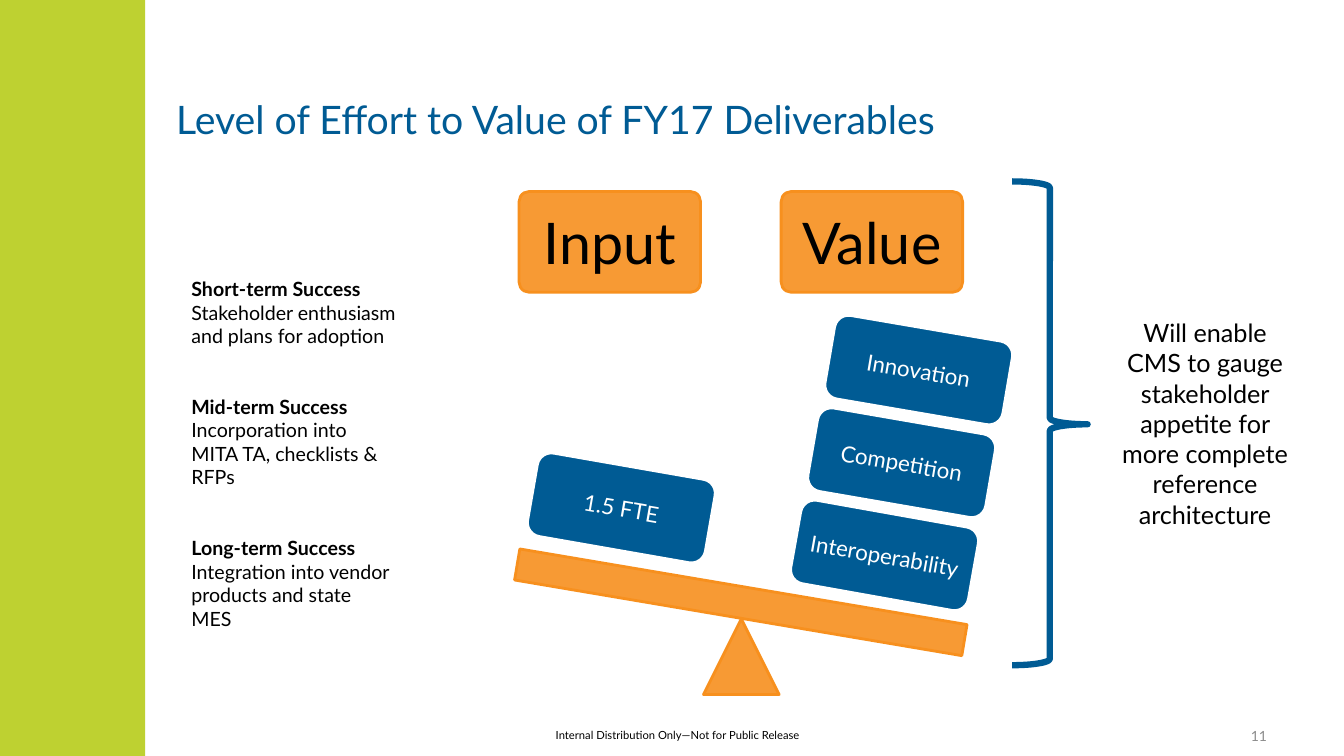
from lxml import etree
from pptx import Presentation
from pptx.dml.color import RGBColor
from pptx.enum.shapes import MSO_SHAPE
from pptx.enum.text import MSO_ANCHOR, PP_ALIGN
from pptx.oxml.ns import qn
from pptx.util import Pt

LEFT, CENTER, RIGHT = PP_ALIGN.LEFT, PP_ALIGN.CENTER, PP_ALIGN.RIGHT
TOP, MIDDLE = MSO_ANCHOR.TOP, MSO_ANCHOR.MIDDLE
RECTANGLE, ROUNDED = MSO_SHAPE.RECTANGLE, MSO_SHAPE.ROUNDED_RECTANGLE
TRIANGLE, BRACE = MSO_SHAPE.ISOSCELES_TRIANGLE, MSO_SHAPE.RIGHT_BRACE

FONT = "Lato"
COLORS = {
    "lime": "BED131",
    "blue": "005B94",
    "orange": "F7901E",
    "white": "FFFFFF",
    "black": "000000",
    "gray": "8C8C8C",
}

deck = Presentation()
deck.slide_width, deck.slide_height = Pt(960), Pt(540)
page = deck.slides.add_slide(deck.slide_layouts[6])


def add_block(kind, left, top, width, height, fill=None, line=None, weight=2, opacity=100):
    """Add a preset shape; a missing fill or line colour means none."""
    block = page.shapes.add_shape(kind, Pt(left), Pt(top), Pt(width), Pt(height))
    block.shadow.inherit = False
    if fill:
        block.fill.solid()
        block.fill.fore_color.rgb = RGBColor.from_string(COLORS[fill])
    else:
        block.fill.background()
    if opacity < 100:
        color = block.fill._xPr.find(qn("a:solidFill"))[0]
        etree.SubElement(color, qn("a:alpha")).set("val", str(opacity * 1000))
    if line:
        block.line.color.rgb = RGBColor.from_string(COLORS[line])
        block.line.width = Pt(weight)
    else:
        block.line.fill.background()
    return block


def write(box, text, size, color, align=LEFT, anchor=TOP, inset=None):
    """Fill a box with one paragraph; inset applies to all four sides."""
    frame = box.text_frame
    frame.word_wrap = True
    frame.vertical_anchor = anchor
    if inset is not None:
        frame.margin_left = frame.margin_right = Pt(inset)
        frame.margin_top = frame.margin_bottom = Pt(inset)
        frame.paragraphs[0].line_spacing = 0.9
    frame.text = text
    paragraph = frame.paragraphs[0]
    paragraph.alignment = align
    for span in paragraph.runs:
        span.font.name = FONT
        span.font.size = Pt(size)
        span.font.color.rgb = RGBColor.from_string(COLORS[color])


# Side band and plain texts
add_block(RECTANGLE, 0, 0, 103.7, 540, "lime")
labels = [
    ("Level of Effort to Value of FY17 Deliverables",
     118.8, 56.9, 784, 56.2, 28, "blue", LEFT, MIDDLE),
    ("Internal Distribution Only—Not for Public Release",
     337.7, 517, 293, 17.3, 8, "black", CENTER, TOP),
    ("11", 720, 511.2, 192.2, 28.8, 10, "gray", RIGHT, MIDDLE),
    ("Will enable CMS to gauge stakeholder appetite for more complete reference architecture",
     791.3, 223.2, 139, 160, 18, "black", CENTER, TOP),
]
for text, left, top, width, height, size, color, align, anchor in labels:
    box = page.shapes.add_textbox(Pt(left), Pt(top), Pt(width), Pt(height))
    write(box, text, size, color, align, anchor)

# Column headings
for index, heading in enumerate(["Input", "Value"]):
    block = add_block(ROUNDED, 370.8 + index * 187.2, 136.8, 129.6, 72,
                      "orange", "orange", opacity=90)
    block.adjustments[0] = 0.1
    write(block, heading, 41, "black", CENTER, MIDDLE, 12.2)

# Seesaw
add_block(TRIANGLE, 502.5, 442.1, 54, 54, "orange", "orange", opacity=90)
plank = add_block(RECTANGLE, 367.2, 419, 324, 22.5, "orange", "orange", opacity=90)
plank.rotation = 9.6

# Weights: the value stack climbs along the tilt, the input stands alone
stack = [("Interoperability", 10.1), ("Competition", 9.8), ("Innovation", 9.7)]
weights = [(name, 567.4 + step * 12.2, 366.5 - step * 66.2, angle)
           for step, (name, angle) in enumerate(stack)]
weights.append(("1.5 FTE", 379.4, 332.6, 9.9))
for name, left, top, angle in weights:
    block = add_block(ROUNDED, left, top, 128.9, 60.5, "blue", "white")
    block.rotation = angle
    write(block, name, 16, "white", CENTER, MIDDLE, 5)

# Brace
brace = add_block(BRACE, 722.9, 129.6, 54, 345.6, line="blue", weight=4.5)
brace.adjustments[0] = 0.083
brace.adjustments[1] = 0.502

# Success milestones
milestones = [
    ("Short-term Success", "Stakeholder enthusiasm and plans for adoption"),
    ("Mid-term Success", "Incorporation into MITA TA, checklists & RFPs"),
    ("Long-term Success", "Integration into vendor products and state MES"),
]
box = page.shapes.add_textbox(Pt(129.6), Pt(194.4), Pt(160.6), Pt(244.8))
frame = box.text_frame
frame.word_wrap = True
for index, (heading, detail) in enumerate(milestones):
    paragraph = frame.add_paragraph() if index else frame.paragraphs[0]
    paragraph.text = f"{heading}\v{detail}"
    if index:
        paragraph.space_before = Pt(33.6)
    paragraph.font.size = Pt(14)
    for span in paragraph.runs:
        span.font.name = FONT
        span.font.size = Pt(14)
        span.font.bold = span.text == heading
        span.font.color.rgb = RGBColor.from_string(COLORS["black"])

deck.save("out.pptx")
